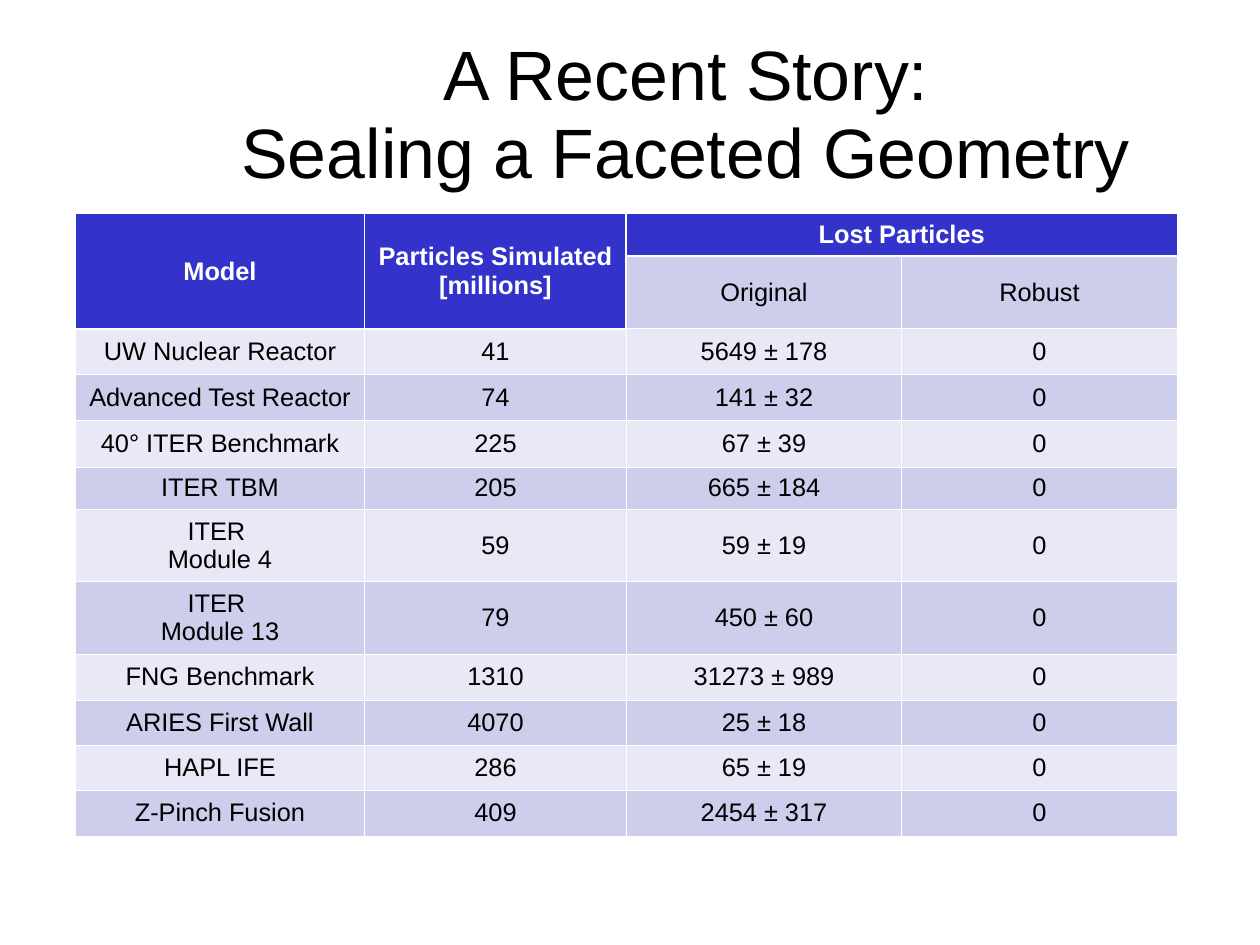
"""Build the slide about sealing a faceted geometry, with its table of lost particles."""
import lxml.etree
import pptx
import pptx.dml.color
import pptx.enum.text
import pptx.oxml.ns
import pptx.util

TITLE = "A Recent Story:\nSealing a Faceted Geometry"
HEADINGS = [
    ("Model", "Particles Simulated [millions]", "Lost Particles", ""),
    ("", "", "Original", "Robust"),
]
MODELS = [
    ("UW Nuclear Reactor", "41", "5649 ± 178", "0"),
    ("Advanced Test Reactor", "74", "141 ± 32", "0"),
    ("40° ITER Benchmark", "225", "67 ± 39", "0"),
    ("ITER TBM", "205", "665 ± 184", "0"),
    ("ITER \nModule 4", "59", "59 ± 19", "0"),
    ("ITER \nModule 13", "79", "450 ± 60", "0"),
    ("FNG Benchmark", "1310", "31273 ± 989", "0"),
    ("ARIES First Wall", "4070", "25 ± 18", "0"),
    ("HAPL IFE", "286", "65 ± 19", "0"),
    ("Z-Pinch Fusion", "409", "2454 ± 317", "0"),
]
MERGES = [((0, 0), (1, 0)), ((0, 1), (1, 1)), ((0, 2), (0, 3))]
COLUMN_WIDTHS = [2.53, 2.29, 2.41, 2.41]
ROW_HEIGHTS = [0.36, 0.64, 0.4, 0.4, 0.41, 0.37, 0.63, 0.63, 0.4, 0.4, 0.39, 0.4]
HEADER_FILL = "3333CC"
BAND_FILLS = ["E8E8F6", "CDCDEC"]
WHITE, BLACK = "FFFFFF", "000000"
THIN, THICK = 0.45, 1.47
SIDES = {"lnL": (0, -1), "lnR": (0, 1), "lnT": (-1, 0), "lnB": (1, 0)}

Inches = pptx.util.Inches


def color(code):
    return pptx.dml.color.RGBColor.from_string(code)


def write(frame, text, size, code, bold=False):
    para = frame.paragraphs[0]
    para.text = text
    para.alignment = pptx.enum.text.PP_ALIGN.CENTER
    para.font.name = "Arial"
    para.font.size = pptx.util.Pt(size)
    para.font.bold = bold
    para.font.color.rgb = color(code)
    return para


def zone(row, column):
    if row < 2 and column < 2:
        return "side header"
    return "top header" if row == 0 else "body"


def add_borders(cell, row, column):
    properties = cell._tc.get_or_add_tcPr()
    for index, (side, (down, right)) in enumerate(SIDES.items()):
        next_row, next_column = row + down, column + right
        inside = 0 <= next_row < len(ROW_HEIGHTS) and 0 <= next_column < len(COLUMN_WIDTHS)
        divides = inside and zone(row, column) != zone(next_row, next_column)
        line = lxml.etree.Element(pptx.oxml.ns.qn("a:" + side))
        line.set("w", str(int(pptx.util.Pt(THICK if divides else THIN))))
        fill = lxml.etree.SubElement(line, pptx.oxml.ns.qn("a:solidFill"))
        lxml.etree.SubElement(fill, pptx.oxml.ns.qn("a:srgbClr")).set("val", WHITE)
        properties.insert(index, line)


def add_title(page):
    box = page.shapes.add_textbox(Inches(1.54), Inches(0.28), Inches(8.93), Inches(1.47))
    frame = box.text_frame
    frame.word_wrap = True
    frame.vertical_anchor = pptx.enum.text.MSO_ANCHOR.MIDDLE
    frame.margin_left = frame.margin_right = Inches(0.11)
    frame.margin_top = frame.margin_bottom = Inches(0.06)
    write(frame, TITLE, 44, BLACK).line_spacing = 0.93


def add_particle_table(page):
    rows = HEADINGS + MODELS
    table = page.shapes.add_table(
        len(rows), len(COLUMN_WIDTHS), Inches(0.66), Inches(1.87),
        Inches(sum(COLUMN_WIDTHS)), Inches(sum(ROW_HEIGHTS))).table
    table.first_row = table.horz_banding = False
    for column, width in zip(table.columns, COLUMN_WIDTHS):
        column.width = Inches(width)
    for row, height in zip(table.rows, ROW_HEIGHTS):
        row.height = Inches(height)
    for row, texts in enumerate(rows):
        for column, text in enumerate(texts):
            cell = table.cell(row, column)
            header = zone(row, column) != "body"
            cell.fill.solid()
            cell.fill.fore_color.rgb = color(HEADER_FILL if header else BAND_FILLS[row % 2])
            cell.vertical_anchor = pptx.enum.text.MSO_ANCHOR.MIDDLE
            write(cell.text_frame, text, 16, WHITE if header else BLACK, header)
            add_borders(cell, row, column)
    for first, last in MERGES:
        table.cell(*first).merge(table.cell(*last))


def main():
    deck = pptx.Presentation()
    deck.slide_width, deck.slide_height = pptx.util.Cm(28), pptx.util.Cm(21)
    page = deck.slides.add_slide(deck.slide_layouts[6])
    add_title(page)
    add_particle_table(page)
    deck.save("out.pptx")


if __name__ == "__main__":
    main()
